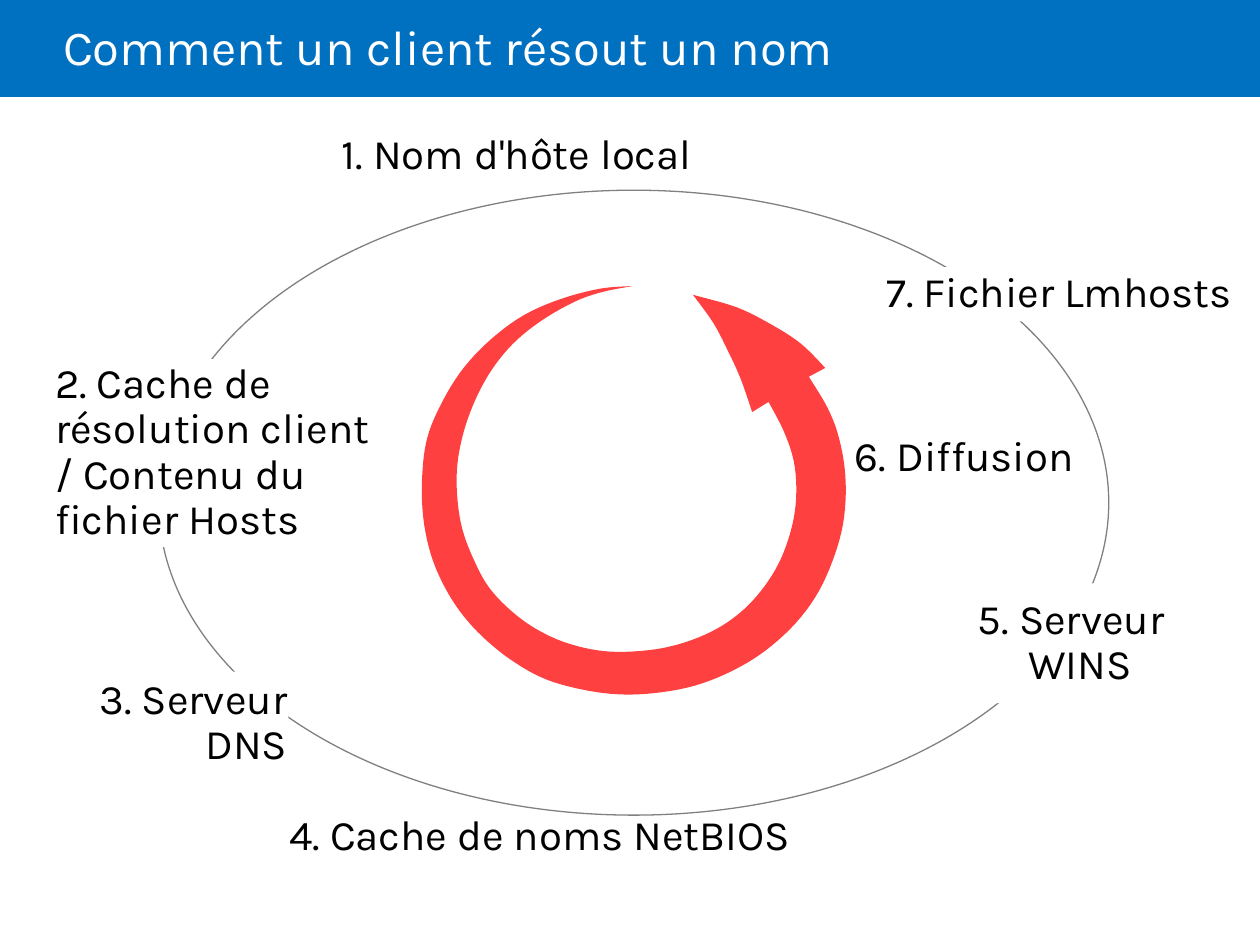
"""Build the slide showing the order in which a client resolves a name."""
from dataclasses import dataclass

from lxml import etree
from pptx import Presentation
from pptx.dml.color import RGBColor
from pptx.enum.shapes import MSO_SHAPE
from pptx.enum.text import MSO_ANCHOR, MSO_AUTO_SIZE, PP_ALIGN
from pptx.oxml.ns import qn
from pptx.shapes.autoshape import Shape
from pptx.slide import Slide
from pptx.util import Inches, Pt

RECTANGLE = MSO_SHAPE.RECTANGLE
ROUNDED = MSO_SHAPE.ROUNDED_RECTANGLE
OVAL = MSO_SHAPE.OVAL
MIDDLE = MSO_ANCHOR.MIDDLE
NO_AUTOFIT = MSO_AUTO_SIZE.NONE
LEFT = PP_ALIGN.LEFT
RIGHT = PP_ALIGN.RIGHT

Point = tuple[float, float]
Box = tuple[float, float, float, float]


@dataclass(frozen=True)
class Theme:
    """Colours, font and type sizes of the slide."""
    band: str = "0070C0"
    paper: str = "FFFFFF"
    ink: str = "000000"
    ring: str = "808080"
    arrow: str = "FF0000"
    arrow_opacity: int = 75
    font: str = "Karla"
    title_size: int = 28
    label_size: int = 24


@dataclass(frozen=True)
class Step:
    """One numbered label placed around the ring."""
    text: str
    box: Box
    filled: bool = False
    hanging: float = 0
    align: PP_ALIGN = LEFT


THEME = Theme()

STEPS = [
    Step("4. Cache de noms NetBIOS", (2.29, 6.4, 5.67, 0.48)),
    Step("5. Serveur WINS", (7.75, 4.63, 1.58, 0.95), filled=True, hanging=0.4),
    Step("6. Diffusion", (6.78, 3.38, 2.36, 0.51)),
    Step("2. Cache de résolution client / Contenu du fichier Hosts",
         (0.42, 2.85, 2.59, 1.49), filled=True),
    Step("1. Nom d'hôte local", (2.71, 1.09, 4.38, 0.3)),
    Step("7. Fichier Lmhosts", (7.03, 2.12, 2.81, 0.43), filled=True, hanging=0.49),
    Step("3. Serveur DNS", (0.59, 5.33, 1.7, 0.82), filled=True, align=RIGHT),
]

ARROW_CURVES: list[list[Point]] = [
    [(5.02, 2.27), (4.77, 2.29), (4.46, 2.37), (4.16, 2.5), (3.9, 2.69), (3.68, 2.92),
     (3.51, 3.19), (3.39, 3.48), (3.35, 3.8), (3.36, 4.11), (3.42, 4.4), (3.53, 4.66),
     (3.68, 4.89), (3.87, 5.09), (4.09, 5.26), (4.33, 5.39), (4.61, 5.47), (4.9, 5.51),
     (5.2, 5.5), (5.52, 5.44), (5.82, 5.32), (6.08, 5.16), (6.32, 4.94), (6.5, 4.69),
     (6.63, 4.39), (6.7, 4.1), (6.71, 3.78), (6.66, 3.48), (6.57, 3.24), (6.42, 2.99)],
    [(6.55, 2.92), (6.36, 2.73), (6.13, 2.58), (5.85, 2.44), (5.5, 2.34)],
    [(5.5, 2.34), (5.66, 2.56), (5.78, 2.79), (5.88, 3.01), (5.97, 3.27)],
    [(6.1, 3.19), (6.22, 3.42), (6.3, 3.66), (6.32, 3.91), (6.29, 4.16), (6.2, 4.43),
     (6.07, 4.65), (5.9, 4.84), (5.69, 4.99), (5.43, 5.1), (5.15, 5.16), (4.82, 5.17),
     (4.52, 5.11), (4.27, 5), (4.06, 4.85), (3.88, 4.66), (3.76, 4.44), (3.67, 4.2),
     (3.63, 3.95), (3.63, 3.69), (3.68, 3.43), (3.77, 3.18), (3.9, 2.94), (4.07, 2.73),
     (4.29, 2.55), (4.55, 2.4), (4.77, 2.32), (5.02, 2.27)],
]


def smooth_curve(points: list[Point], steps: int = 5) -> list[Point]:
    """Return points sampled along a Catmull-Rom curve."""
    padded = [points[0], *points, points[-1]]
    curve = [points[0]]
    for before, start, end, after in zip(padded, padded[1:], padded[2:], padded[3:]):
        for step in range(1, steps + 1):
            t = step / steps
            curve.append(tuple(
                0.5 * (2 * b + (c - a) * t + (2 * a - 5 * b + 4 * c - d) * t**2
                       + (3 * b - a - 3 * c + d) * t**3)
                for a, b, c, d in zip(before, start, end, after)))
    return curve


def write_text(shape: Shape, text: str, *, size: int, color: str, spacing: float,
               align: PP_ALIGN = LEFT, hanging: float = 0,
               insets: Box = (0, 0, 0, 0)) -> None:
    """Write one formatted paragraph into a shape."""
    frame = shape.text_frame
    frame.word_wrap = True
    frame.auto_size = NO_AUTOFIT
    frame.vertical_anchor = MIDDLE
    (frame.margin_left, frame.margin_top,
     frame.margin_right, frame.margin_bottom) = map(Inches, insets)
    paragraph = frame.paragraphs[0]
    paragraph.alignment = align
    paragraph.line_spacing = spacing
    if hanging:
        properties = paragraph._p.get_or_add_pPr()
        properties.set("marL", str(Inches(hanging)))
        properties.set("indent", str(-Inches(hanging)))
    run = paragraph.add_run()
    run.text = text
    run.font.name = THEME.font
    run.font.size = Pt(size)
    run.font.color.rgb = RGBColor.from_string(color)


def style_shape(shape: Shape, fill: str | None = None, line: str | None = None) -> None:
    """Set fill and outline, and remove the shadow."""
    shape.shadow.inherit = False
    if fill:
        shape.fill.solid()
        shape.fill.fore_color.rgb = RGBColor.from_string(fill)
    else:
        shape.fill.background()
    if line:
        shape.line.color.rgb = RGBColor.from_string(line)
        shape.line.width = Pt(0.75)
    else:
        shape.line.fill.background()


def add_block(slide: Slide, preset: MSO_SHAPE, box: Box, fill: str | None = None,
              line: str | None = None) -> Shape:
    """Add a styled preset shape."""
    shape = slide.shapes.add_shape(preset, *map(Inches, box))
    style_shape(shape, fill, line)
    return shape


def add_title(slide: Slide, text: str) -> None:
    """Place the title over its coloured band."""
    title = slide.shapes.title
    title.left, title.top, title.width, title.height = map(Inches, (0.5, 0, 8.5, 0.81))
    write_text(title, text, size=THEME.title_size, color=THEME.paper, spacing=0.85,
               insets=(0, 0.05, 0.1, 0.05))
    band = add_block(slide, RECTANGLE, (0, 0, 10, 0.77), THEME.band)
    title._element.addprevious(band._element)


def add_step(slide: Slide, step: Step) -> None:
    """Add one numbered label."""
    shape = add_block(slide, ROUNDED, step.box, THEME.paper if step.filled else None)
    shape.adjustments[0] = 0.04
    write_text(shape, step.text, size=THEME.label_size, color=THEME.ink, spacing=0.9,
               align=step.align, hanging=step.hanging)


def add_circular_arrow(slide: Slide) -> None:
    """Draw the tapering circular arrow."""
    outline = [(Inches(x), Inches(y)) for curve in ARROW_CURVES for x, y in smooth_curve(curve)]
    builder = slide.shapes.build_freeform(*outline[0])
    builder.add_line_segments(outline[1:], close=True)
    arrow = builder.convert_to_shape()
    style_shape(arrow, THEME.arrow)
    color = arrow._element.spPr.find(f"{qn('a:solidFill')}/{qn('a:srgbClr')}")
    etree.SubElement(color, qn("a:alpha")).set("val", str(THEME.arrow_opacity * 1000))


def main() -> None:
    """Build and save the presentation."""
    presentation = Presentation()
    presentation.slide_width = Inches(10)
    presentation.slide_height = Inches(7.5)
    slide = presentation.slides.add_slide(presentation.slide_layouts[5])
    add_title(slide, "Comment un client résout un nom")
    add_block(slide, OVAL, (1.26, 1.51, 7.54, 4.96), line=THEME.ring)
    for step in STEPS[:4]:
        add_step(slide, step)
    add_circular_arrow(slide)
    for step in STEPS[4:]:
        add_step(slide, step)
    presentation.save("out.pptx")


if __name__ == "__main__":
    main()
